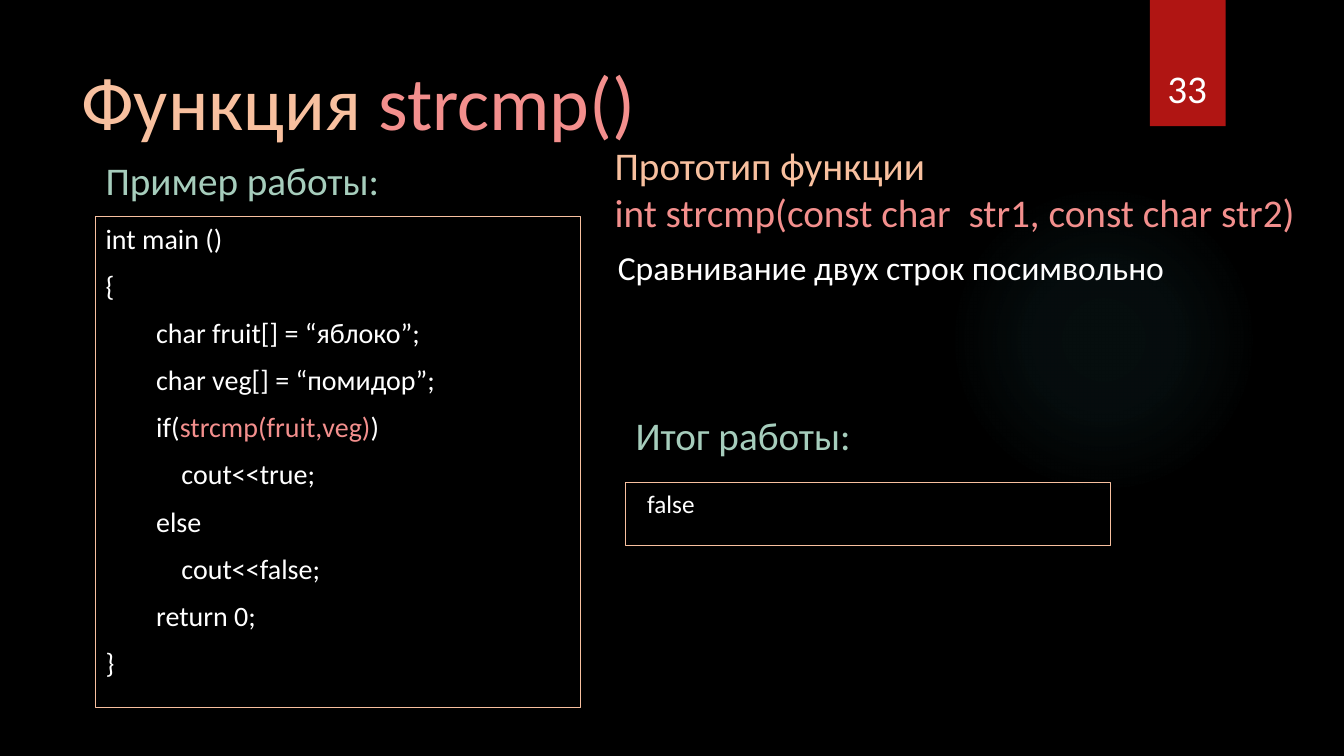
from lxml import etree
from pptx import Presentation
from pptx.dml.color import RGBColor
from pptx.enum.shapes import MSO_SHAPE as SHAPE
from pptx.enum.text import MSO_ANCHOR as ANCHOR, PP_ALIGN as ALIGN
from pptx.oxml import parse_xml
from pptx.oxml.ns import nsdecls, qn
from pptx.util import Cm, Pt

BLACK = RGBColor(0x00, 0x00, 0x00)
WHITE = RGBColor(0xFF, 0xFF, 0xFF)
PEACH = RGBColor(0xF8, 0xC0, 0x9F)
PINK = RGBColor(0xF3, 0x8F, 0x8D)
MINT = RGBColor(0xA6, 0xCD, 0xBC)
RED = RGBColor(0xB0, 0x15, 0x13)
GLOW = RGBColor(0x50, 0xB9, 0xC1)
FONT = "Calibri"

CODE = [
    "int main ()",
    "{",
    "        char fruit[] = “яблоко”;",
    "        char veg[] = “помидор”;",
    ["        if(", ("strcmp(fruit,veg)", PINK), ")"],
    "            cout<<true;",
    "        else",
    "            cout<<false;",
    "        return 0;",
    "}",
]


def add_text(s, box, lines, size, color=WHITE, align=ALIGN.LEFT,
             anchor=ANCHOR.TOP, wrap=True, gap=0, border=None, inset=0.25):
    """A line is a string or a list of runs; a run is a string or (string, colour)."""
    sp = s.shapes.add_textbox(*map(Cm, box))
    if border is not None:
        sp.line.color.rgb = border
        sp.line.width = Pt(0.75)
    tf = sp.text_frame
    tf.word_wrap = wrap
    tf.vertical_anchor = anchor
    tf.margin_left = Cm(inset)
    for i, line in enumerate(lines):
        p = tf.paragraphs[0] if i == 0 else tf.add_paragraph()
        p.alignment = align
        if i:
            p.space_before = Pt(gap)
        for part in [line] if isinstance(line, str) else line:
            text, tint = (part, color) if isinstance(part, str) else part
            r = p.add_run()
            r.text = text
            r.font.name = FONT
            r.font.size = Pt(size)
            r.font.color.rgb = tint
    return sp


def add_plain_shape(s, kind, box, color):
    sp = s.shapes.add_shape(kind, *map(Cm, box))
    sp.shadow.inherit = False
    sp.line.fill.background()
    sp.fill.solid()
    sp.fill.fore_color.rgb = color
    return sp


def add_glow(s, x, y, d):
    sp = add_plain_shape(s, SHAPE.OVAL, (x, y, d, d), GLOW)
    # Radial gradient that fades to transparent
    grad = parse_xml(f'<a:gradFill {nsdecls("a")} rotWithShape="1"><a:gsLst/>'
                     '<a:path path="circle"><a:fillToRect l="50000" t="50000" '
                     'r="50000" b="50000"/></a:path></a:gradFill>')
    for pos, alpha in ((0, 7), (36, 6), (69, 0), (100, 0)):
        gs = etree.SubElement(grad[0], qn("a:gs"), pos=str(pos * 1000))
        clr = etree.SubElement(gs, qn("a:srgbClr"), val=str(GLOW))
        etree.SubElement(clr, qn("a:alpha"), val=str(alpha * 1000))
    solid = sp._element.spPr.find(qn("a:solidFill"))
    solid.getparent().replace(solid, grad)


def add_page_tab(s, x, y, w, h, number):
    add_plain_shape(s, SHAPE.RECTANGLE, (x, y, w, h), RED)
    add_text(s, (x - 0.23, y + 0.81, w + 0.43, h - 1.05), [number], 28,
             align=ALIGN.CENTER, anchor=ANCHOR.BOTTOM)


def add_panel(s, x, y, w, h, heading, lines, size, rise, inset=0.25):
    """Framed listing with its heading placed above it."""
    add_text(s, (x, y - rise, 10.57, 1.45), [heading], 28, MINT)
    add_text(s, (x, y, w, h), lines, size, gap=9.6, border=PEACH, inset=inset)


def add_prototype(s, x, y, w):
    add_text(s, (x, y, w, 2.64),
             ["Прототип функции",
              [("int strcmp(const char  str1, const char str2)", PINK)]],
             28, PEACH)
    add_text(s, (x + 0.08, y + 2.67, 14.4, 1.27),
             ["Сравнивание двух строк посимвольно"], 24, wrap=False)


def main():
    prs = Presentation()
    prs.slide_width, prs.slide_height = Cm(33.87), Cm(19.05)
    s = prs.slides.add_slide(prs.slide_layouts[6])
    s.background.fill.solid()
    s.background.fill.fore_color.rgb = BLACK

    # Decoration and page number
    add_glow(s, 23.9, 4.65, 7.82)
    add_page_tab(s, 28.98, 0, 1.91, 3.18, "33")

    # Title
    add_text(s, (1.8, 1.27, 16.48, 2.57), [["Функция ", ("strcmp()", PINK)]],
             54, PEACH)

    # Example on the left, prototype and result on the right
    add_panel(s, 2.41, 5.46, 12.22, 12.37, "Пример работы:", CODE, 20, rise=1.65)
    add_prototype(s, 15.24, 3.43, 18.62)
    add_panel(s, 15.77, 12.17, 12.22, 1.57, "Итог работы:", ["false"], 18,
              rise=1.93, inset=0.54)

    prs.save("out.pptx")


if __name__ == "__main__":
    main()
